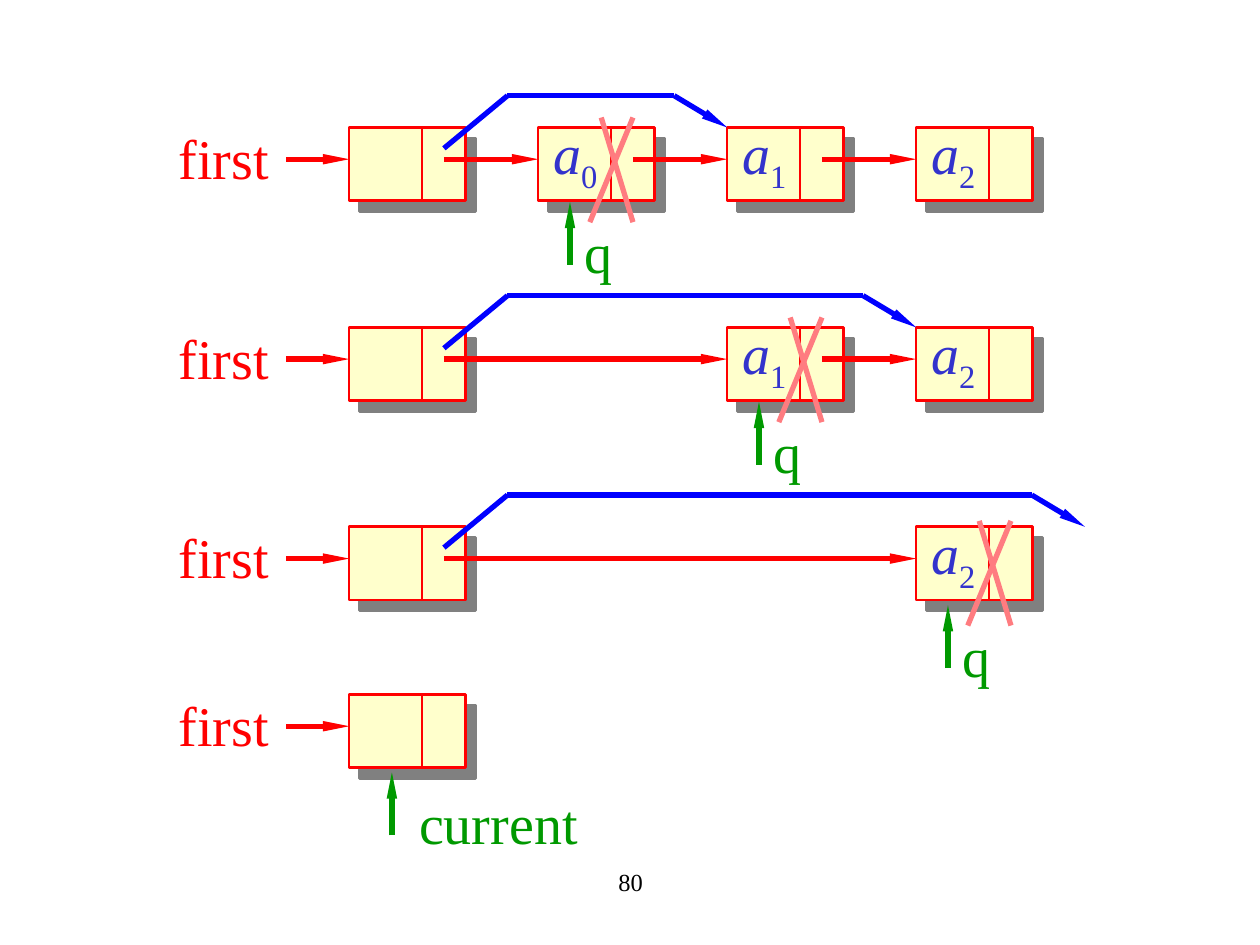
from lxml.etree import SubElement
from pptx import Presentation
from pptx.dml.color import RGBColor
from pptx.enum.shapes import MSO_CONNECTOR, MSO_SHAPE
from pptx.enum.text import MSO_ANCHOR, MSO_AUTO_SIZE, PP_ALIGN
from pptx.oxml.ns import qn
from pptx.util import Cm, Pt

RED, BLUE, GREEN, PINK = "FF0000", "0000FF", "009900", "FF7C80"
CREAM, INDIGO, GRAY, BLACK = "FFFFCC", "3333CC", "808080", "000000"

# Grid, in centimetres
FIRST_LEFT, PITCH = 7.04, 3.81
NODE_WIDTH, NODE_HEIGHT = 2.34, 1.48
DIVIDER = 1.47          # from the left side of a node
LINK_START = 1.91       # where a node's pointer starts
LINK_HEIGHT = 0.64      # from the top of a node
LABEL_RISE, LABEL_HEIGHT = 0.2, 1.6


def color(hex_string):
    return RGBColor.from_string(hex_string)


def column_left(column):
    return FIRST_LEFT + column * PITCH


class ListDiagram:
    font_name = "Times New Roman"

    def __init__(self, slide):
        self.slide = slide

    def line(self, start, end, line_color, width=3, arrow=False):
        connector = self.slide.shapes.add_connector(
            MSO_CONNECTOR.STRAIGHT, *(Cm(value) for value in (*start, *end)))
        connector.line.color.rgb = color(line_color)
        connector.line.width = Pt(width)
        if arrow:
            SubElement(connector.line._get_or_add_ln(), qn("a:tailEnd"),
                       type="triangle", w="sm", len="lg")
        SubElement(connector._element.spPr, qn("a:effectLst"))

    def text(self, left, top, width, height, parts, text_color, size=32, wrap=False):
        """Write parts, a list of (text, is_subscript), in one centred line."""
        box = self.slide.shapes.add_textbox(Cm(left), Cm(top), Cm(width), Cm(height))
        frame = box.text_frame
        frame.word_wrap = wrap
        if not wrap:
            frame.auto_size = MSO_AUTO_SIZE.SHAPE_TO_FIT_TEXT
            frame.vertical_anchor = MSO_ANCHOR.MIDDLE
        paragraph = frame.paragraphs[0]
        paragraph.alignment = PP_ALIGN.CENTER
        paragraph.font.name = self.font_name
        paragraph.font.size = Pt(size)
        paragraph.font.color.rgb = color(text_color)
        for content, is_subscript in parts:
            run = paragraph.add_run()
            run.text = content
            if is_subscript:
                run._r.get_or_add_rPr().set("baseline", "-25000")
            elif len(parts) > 1:
                run.font.italic = True

    def node(self, column, top, index=None):
        left = column_left(column)
        shape = self.slide.shapes.add_shape(
            MSO_SHAPE.RECTANGLE, Cm(left), Cm(top), Cm(NODE_WIDTH), Cm(NODE_HEIGHT))
        shape.fill.solid()
        shape.fill.fore_color.rgb = color(CREAM)
        shape.line.color.rgb = color(RED)
        shape.line.width = Pt(1.5)
        shape.shadow.inherit = False
        effects = shape._element.spPr.find(qn("a:effectLst"))
        shadow = SubElement(effects, qn("a:outerShdw"), dist=str(Pt(8.5)),
                            dir="2700000", algn="ctr", rotWithShape="0")
        SubElement(shadow, qn("a:srgbClr"), val=GRAY)
        divider = left + DIVIDER
        self.line((divider, top), (divider, top + NODE_HEIGHT), RED, 1.5)
        if index is not None:
            self.text(left + 0.02, top - LABEL_RISE, 1.45, LABEL_HEIGHT,
                      [("a", False), (str(index), True)], INDIGO)

    def link(self, start, end, top):
        height = top + LINK_HEIGHT
        self.line((start, height), (end, height), RED, arrow=True)

    def chain(self, top, columns):
        """Draw the head node and the data nodes, each linked to the next."""
        self.text(FIRST_LEFT - 3.78, top - LABEL_RISE, 2.51, LABEL_HEIGHT,
                  [("first", False)], RED)
        self.link(FIRST_LEFT - 1.27, FIRST_LEFT, top)
        for column in columns:
            self.node(column, top, column - 1 if column else None)
        for column, following in zip(columns, columns[1:]):
            self.link(column_left(column) + LINK_START, column_left(following), top)

    def bypass(self, top, end):
        bend = top - LINK_HEIGHT
        points = [(FIRST_LEFT + LINK_START, top + 0.42), (FIRST_LEFT + 3.19, bend),
                  (end - 1.07, bend), (end, top)]
        for number, (start, stop) in enumerate(zip(points, points[1:])):
            self.line(start, stop, BLUE, arrow=number == 2)

    def pointer(self, x, tip, name, label_left, label_width):
        self.line((x, tip + 1.27), (x, tip), GREEN, arrow=True)
        self.text(label_left, tip + 0.2, label_width, LABEL_HEIGHT,
                  [(name, False)], GREEN)

    def cross(self, left, top):
        upper, lower = top - 0.2, top + 1.91
        self.line((left + 1.91, upper), (left + 1.04, lower), PINK)
        self.line((left + 1.27, upper), (left + 1.91, lower), PINK)


def main():
    presentation = Presentation()
    presentation.slide_width, presentation.slide_height = Cm(25.4), Cm(19.05)
    slide = presentation.slides.add_slide(presentation.slide_layouts[6])
    diagram = ListDiagram(slide)

    # Deleting steps: top, columns in the chain, end of the bypass, drop of the marks
    steps = [
        (2.57, [0, 1, 2, 3], column_left(2), 0),
        (6.6, [0, 2, 3], column_left(3), 0),
        (10.62, [0, 3], 21.87, 0.08),
    ]
    for top, columns, bypass_end, drop in steps:
        removed_left = column_left(columns[1])
        pointer_x = removed_left + 0.64
        diagram.chain(top, columns)
        diagram.bypass(top, bypass_end)
        diagram.pointer(pointer_x, top + 1.5 + drop, "q", pointer_x, 1.14)
        diagram.cross(removed_left, top + drop)

    # Emptied list
    diagram.chain(14, [0])
    diagram.pointer(7.9, 15.57, "current", 7.98, 4.14)

    # Slide number
    diagram.text(8.69, 17.35, 8.05, 1.27, [("80", False)], BLACK, 14, wrap=True)

    presentation.save("out.pptx")


if __name__ == "__main__":
    main()
